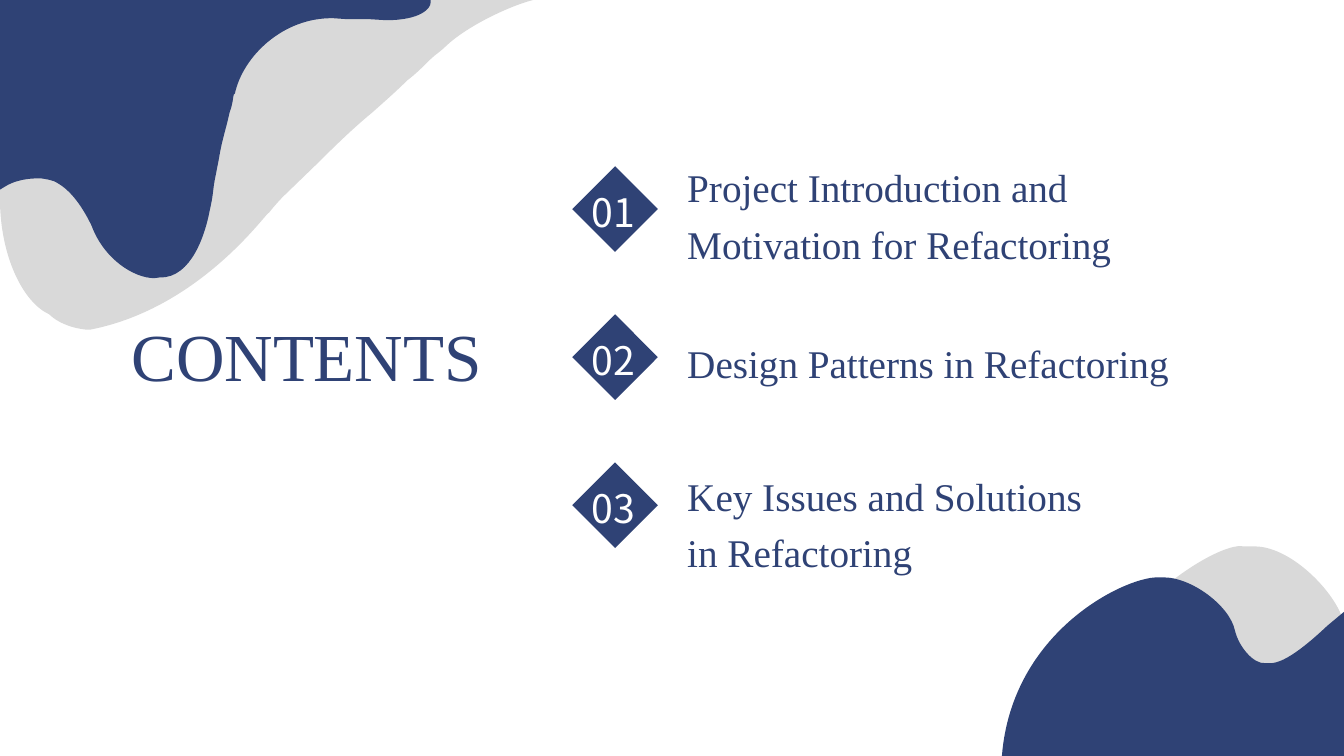
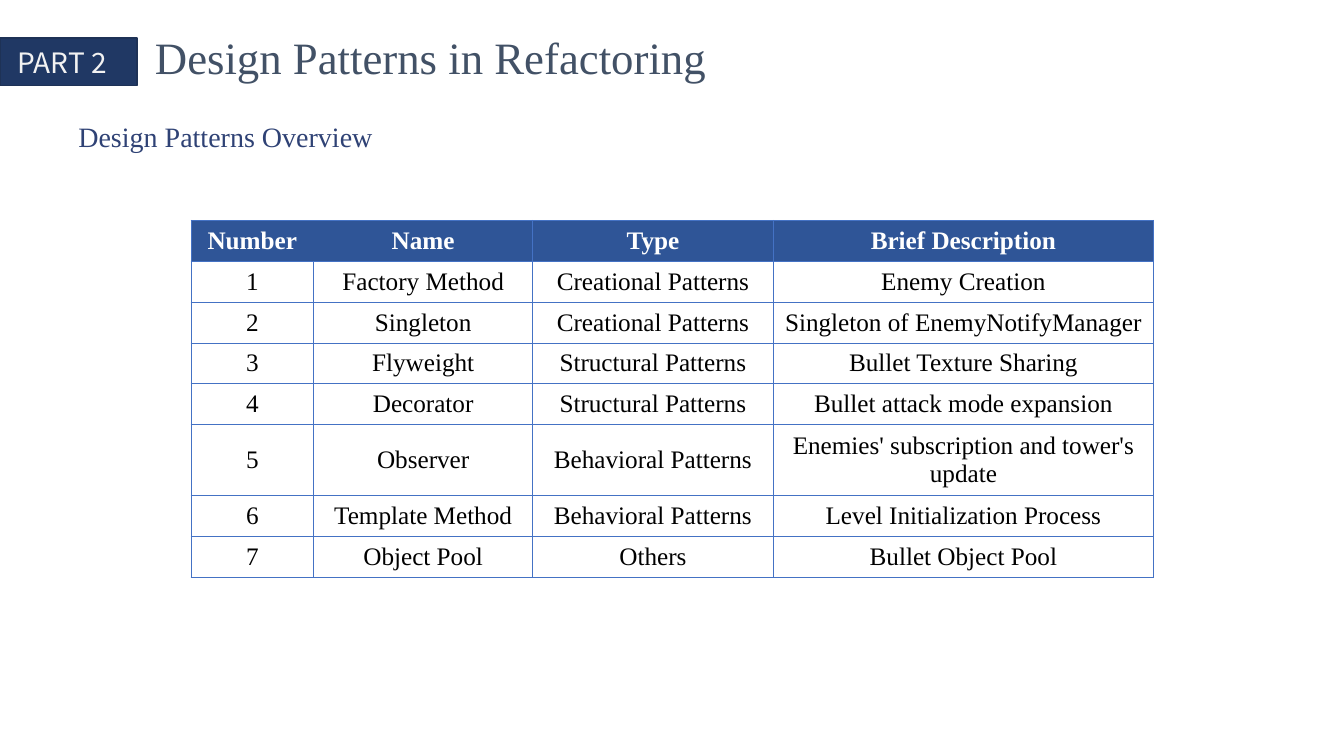
from lxml.etree import SubElement
from pptx import Presentation
from pptx.dml.color import RGBColor
from pptx.enum.shapes import MSO_SHAPE as Preset
from pptx.enum.text import MSO_ANCHOR as Anchor, MSO_AUTO_SIZE as AutoSize, PP_ALIGN as Align
from pptx.oxml.ns import qn
from pptx.util import Cm, Pt

NAVY, GREY, WHITE, BLACK = "2F4275", "D9D9D9", "FFFFFF", "000000"
TITLE_SLATE, TAG_FILL, TAG_LINE, TAG_TEXT = "425166", "203864", "1E3256", "F2F2F2"
HEADER_FILL, TABLE_LINE = "2F5597", "4472C4"
SERIF, SANS = "Times New Roman", "Noto Sans CJK SC"
SLIDE_WIDTH, SLIDE_HEIGHT = 33.87, 19.05
TITLE_ONLY, TITLE_AND_BODY = 5, 1

TOP_GREY = [
    (0.25, 0), (0.33, 0.18, 0.56, 0.76, 0.53, 1.45),
    (0.56, 1.91, 0.41, 2.77, 0.23, 3.43), (0.05, 3.96, 0, 4.67, 0, 5),
    (0, 6.45, 0.58, 7.62, 1.24, 7.92), (1.52, 8.2, 2.01, 8.31, 2.26, 8.31),
    (5.08, 7.77, 6.76, 5.28, 6.78, 5.36), (6.88, 5.23, 7.04, 5.05, 7.14, 4.95),
    (8.03, 4.09), (8.69, 3.43, 9.04, 3.12, 9.4, 2.82),
    (9.6, 2.64, 9.98, 2.31, 10.26, 2.03), (10.46, 1.88, 10.64, 1.7, 10.74, 1.6),
    (10.84, 1.5, 10.95, 1.4, 11.02, 1.35), (11.18, 1.22),
    (11.73, 0.66, 12.9, 0.13, 13.44, 0),
]
TOP_NAVY = [
    (0, 4.78), (0.13, 4.7), (0.53, 4.45, 1.07, 4.5, 1.07, 4.5),
    (1.17, 4.52, 1.22, 4.52, 1.37, 4.57), (1.57, 4.67, 1.93, 4.9, 2.31, 5.69),
    (2.62, 6.53, 3.38, 7.01, 3.89, 7.01), (4.04, 6.99),
    (4.83, 7.01, 5.18, 5.87, 5.28, 5.33), (5.38, 4.9, 5.36, 4.83, 5.41, 4.55),
    (5.51, 4.04), (5.61, 3.45, 5.66, 3.4, 5.79, 2.82),
    (5.87, 2.62, 5.87, 2.46, 5.89, 2.39), (5.92, 2.36),
    (6.12, 1.42, 7.14, 0.43, 8.41, 0.46), (8.69, 0.48), (9.25, 0.48), (9.73, 0.51),
    (10.62, 0.51, 10.85, 0.2, 10.85, 0.08), (10.85, 0), (0, 0),
]
BOTTOM_GREY = [
    (26.67, SLIDE_HEIGHT), (27.38, 15.6, 30.71, 13.61, 31.34, 13.77), (31.62, 13.77),
    (32.59, 13.77, 33.78, 15.06, SLIDE_WIDTH, 15.75), (SLIDE_WIDTH, SLIDE_HEIGHT),
]
BOTTOM_NAVY = [
    (25.25, SLIDE_HEIGHT), (25.5, 15.9, 28.35, 14.55, 29.16, 14.55), (29.29, 14.55),
    (30.02, 14.53, 30.99, 15.27, 31.12, 15.88), (31.22, 16.31, 31.6, 16.74, 31.88, 16.71),
    (32, 16.71), (32.41, 16.74, 33.15, 16.05, 33.45, 15.77),
    (SLIDE_WIDTH, 15.42), (SLIDE_WIDTH, SLIDE_HEIGHT),
]
WAVES = [(TOP_GREY, GREY), (TOP_NAVY, NAVY), (BOTTOM_GREY, GREY), (BOTTOM_NAVY, NAVY)]

CONTENTS = [
    ("Project Introduction and Motivation for Refactoring", (17.07, 3.76, 13.44, 3)),
    ("Design Patterns in Refactoring", (17.07, 8.2, 15.11, 1.57)),
    ("Key Issues and Solutions in Refactoring", (17.07, 11.53, 11.38, 3)),
]
PATTERNS = [
    ("Number", "Name", "Type", "Brief Description"),
    ("1", "Factory Method", "Creational Patterns", "Enemy Creation"),
    ("2", "Singleton", "Creational Patterns", "Singleton of EnemyNotifyManager"),
    ("3", "Flyweight", "Structural Patterns", "Bullet Texture Sharing"),
    ("4", "Decorator", "Structural Patterns", "Bullet attack mode expansion"),
    ("5", "Observer", "Behavioral Patterns", "Enemies' subscription and tower's update"),
    ("6", "Template Method", "Behavioral Patterns", "Level Initialization Process"),
    ("7", "Object Pool", "Others", "Bullet Object Pool"),
]
COLUMN_WIDTHS = [3.1, 5.51, 6.07, 9.58]
ROW_HEIGHT, TALL_ROW_HEIGHT, TALL_ROW = 1.03, 1.79, 5


def color(hex_string):
    return RGBColor.from_string(hex_string)


def add_run(paragraph, text, size, hex_string, font=SERIF, bold=False):
    run = paragraph.add_run()
    run.text = text
    run.font.name, run.font.size, run.font.bold = font, Pt(size), bold
    run.font.color.rgb = color(hex_string)


def paint(shape, fill, line=None):
    shape.shadow.inherit = False
    shape.fill.solid()
    shape.fill.fore_color.rgb = color(fill)
    if line:
        shape.line.color.rgb = color(line)
        shape.line.width = Pt(1)
    else:
        shape.line.fill.background()


def place(placeholder, left, top, width, height):
    placeholder.left, placeholder.top = Cm(left), Cm(top)
    placeholder.width, placeholder.height = Cm(width), Cm(height)
    frame = placeholder.text_frame
    frame.word_wrap = True
    frame.auto_size = AutoSize.NONE
    frame.vertical_anchor = Anchor.TOP
    return frame.paragraphs[0]


def set_title(slide, text, box, size, hex_string, align):
    paragraph = place(slide.shapes.title, *box)
    paragraph.alignment = align
    add_run(paragraph, text, size, hex_string)


def set_subtitle(slide, text, box):
    paragraph = place(slide.placeholders[1], *box)
    paragraph.space_before = Pt(0)
    properties = paragraph._p.get_or_add_pPr()
    properties.set("marL", "0")
    properties.set("indent", "0")
    SubElement(properties, qn("a:buNone"))
    add_run(paragraph, text, 20, NAVY)


def add_entry(slide, text, box):
    frame = slide.shapes.add_textbox(*map(Cm, box)).text_frame
    frame.word_wrap = True
    paragraph = frame.paragraphs[0]
    paragraph.line_spacing = 1.2
    add_run(paragraph, text, 28, NAVY)


def bend_segments(shape, segments):
    lines = iter(list(shape._element.iter(qn("a:lnTo"))))
    for segment in segments:
        first = next(lines)
        if len(segment) == 6:
            first.tag = qn("a:cubicBezTo")
            for line in (next(lines), next(lines)):
                first.append(line[0])
                line.getparent().remove(line)


def add_wave(slide, outline, fill):
    points = [(Cm(x), Cm(y)) for segment in outline
              for x, y in zip(segment[::2], segment[1::2])]
    builder = slide.shapes.build_freeform(*points[0])
    builder.add_line_segments(points[1:], close=True)
    shape = builder.convert_to_shape()
    bend_segments(shape, outline[1:])
    paint(shape, fill)


def add_label(slide, preset, box, text, style, fill, line=None, align=Align.CENTER,
              margins=(0, 0, 0, 0), line_spacing=1):
    shape = slide.shapes.add_shape(preset, *map(Cm, box))
    paint(shape, fill, line)
    frame = shape.text_frame
    frame.word_wrap = False
    frame.vertical_anchor = Anchor.MIDDLE
    (frame.margin_left, frame.margin_top,
     frame.margin_right, frame.margin_bottom) = map(Cm, margins)
    paragraph = frame.paragraphs[0]
    paragraph.alignment = align
    paragraph.line_spacing = line_spacing
    add_run(paragraph, text, *style, font=SANS)


def set_border(cell, side, width):
    line = SubElement(cell._tc.get_or_add_tcPr(), qn(f"a:ln{side}"), w=str(Pt(width)))
    if width:
        fill = SubElement(line, qn("a:solidFill"))
        SubElement(fill, qn("a:srgbClr"), val=TABLE_LINE)
    else:
        SubElement(line, qn("a:noFill"))


def vertical_width(row, edge):
    if edge in (0, len(COLUMN_WIDTHS)):
        return 0.5
    return 0 if (row, edge) == (0, 1) else 1


def format_cell(cell, row, column, text):
    set_border(cell, "L", vertical_width(row, column))
    set_border(cell, "R", vertical_width(row, column + 1))
    for side in "TB":
        set_border(cell, side, 0.5)
    header = row == 0
    if header:
        cell.fill.solid()
        cell.fill.fore_color.rgb = color(HEADER_FILL)
    else:
        cell.fill.background()
    cell.vertical_anchor = Anchor.MIDDLE
    paragraph = cell.text_frame.paragraphs[0]
    paragraph.alignment = Align.CENTER
    add_run(paragraph, text, 18, WHITE if header else BLACK, bold=header)


def add_pattern_table(slide, left, top):
    heights = [TALL_ROW_HEIGHT if row == TALL_ROW else ROW_HEIGHT for row in range(len(PATTERNS))]
    table = slide.shapes.add_table(
        len(PATTERNS), len(COLUMN_WIDTHS), Cm(left), Cm(top),
        Cm(sum(COLUMN_WIDTHS)), Cm(sum(heights))).table
    table.first_row = table.horz_banding = False
    for column, width in zip(table.columns, COLUMN_WIDTHS):
        column.width = Cm(width)
    for row, (texts, height) in enumerate(zip(PATTERNS, heights)):
        table.rows[row].height = Cm(height)
        for column, text in enumerate(texts):
            format_cell(table.cell(row, column), row, column, text)


def build_contents(slide):
    for outline, fill in WAVES:
        add_wave(slide, outline, fill)
    set_title(slide, "CONTENTS", (2.42, 7.79, 10.62, 2.31), 48, NAVY, Align.CENTER)
    for index, (text, box) in enumerate(CONTENTS):
        add_entry(slide, text, box)
        add_label(slide, Preset.DIAMOND, (14.42, 4.19 + 3.73 * index, 2.16, 2.16),
                  f"{index + 1:02}", (28, WHITE), NAVY, margins=(0, 0, 0.08, 0.12),
                  line_spacing=1.2)


def build_patterns(slide):
    add_label(slide, Preset.RECTANGLE, (0, 0.96, 3.45, 1.19), "PART 2", (20, TAG_TEXT),
              TAG_FILL, TAG_LINE, Align.LEFT, (0.44, 0.04, 0, 0))
    set_title(slide, "Design Patterns in Refactoring", (3.65, 0.62, 15.5, 1.73), 32,
              TITLE_SLATE, Align.LEFT)
    set_subtitle(slide, "Design Patterns Overview", (1.72, 2.88, 8.5, 1.12))
    add_pattern_table(slide, 4.81, 5.55)


def main():
    presentation = Presentation()
    presentation.slide_width, presentation.slide_height = Cm(SLIDE_WIDTH), Cm(SLIDE_HEIGHT)
    for build, layout in ((build_contents, TITLE_ONLY), (build_patterns, TITLE_AND_BODY)):
        build(presentation.slides.add_slide(presentation.slide_layouts[layout]))
    presentation.save("out.pptx")


if __name__ == "__main__":
    main()
